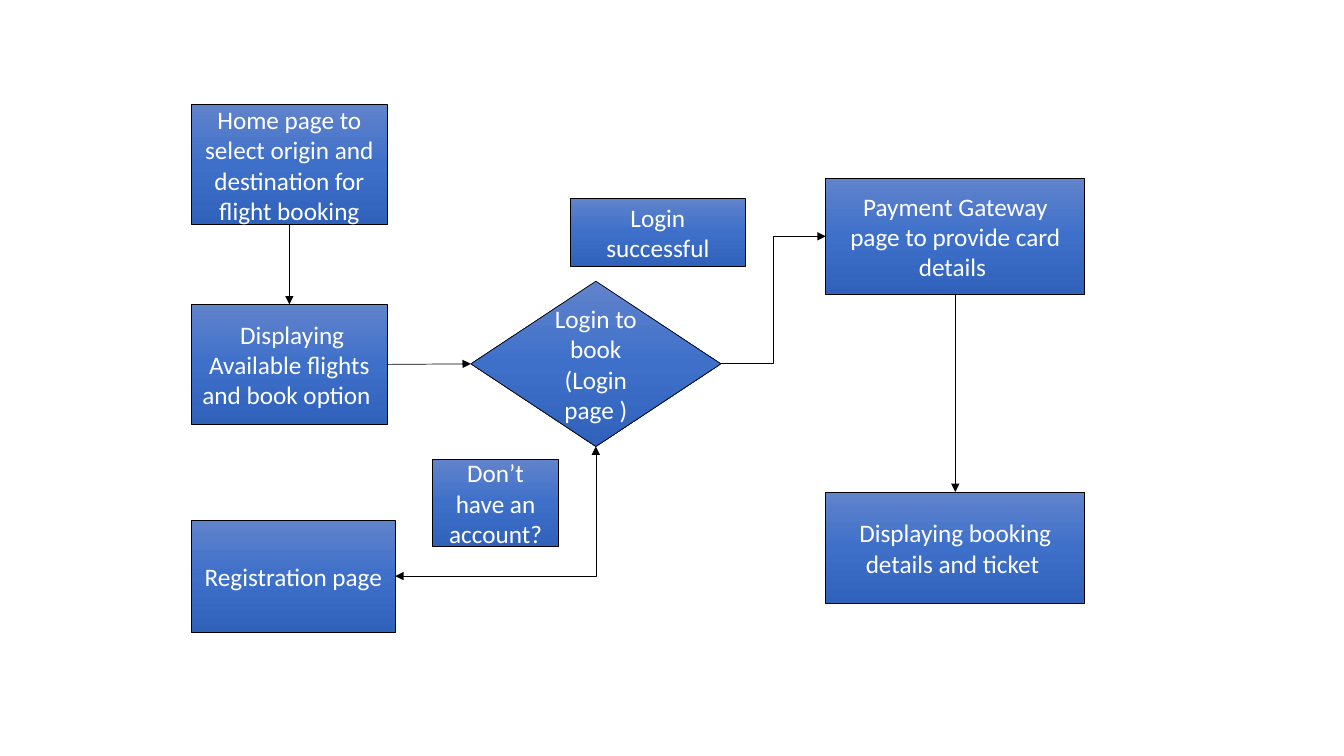
import copy
import dataclasses

import pptx
import pptx.dml.color
import pptx.enum.shapes
import pptx.enum.text
import pptx.oxml
import pptx.oxml.ns
import pptx.util

PX = 9144
TOP, LEFT, BOTTOM, RIGHT = range(4)
SHAPES = pptx.enum.shapes.MSO_SHAPE
LINKS = pptx.enum.shapes.MSO_CONNECTOR


@dataclasses.dataclass(frozen=True)
class Theme:
    font: str = "Calibri"
    size: int = 18
    text: str = "FFFFFF"
    line: str = "000000"
    line_width: float = 0.5
    gradient: tuple = ((0, "6183CB"), (0.5, "3E70CA"), (1, "3062BB"))


THEME = Theme()


def rgb(value):
    return pptx.dml.color.RGBColor.from_string(value)


def set_line(line):
    line.color.rgb = rgb(THEME.line)
    line.width = pptx.util.Pt(THEME.line_width)


def set_gradient(sp):
    sp.fill.gradient()
    sp.fill.gradient_angle = 270
    stops = sp.element.spPr.find(".//" + pptx.oxml.ns.qn("a:gsLst"))
    stops.append(copy.deepcopy(stops[0]))
    for stop, (position, color) in zip(sp.fill.gradient_stops, THEME.gradient):
        stop.position = position
        stop.color.rgb = rgb(color)


def add_node(s, box, *lines, kind=SHAPES.RECTANGLE):
    sp = s.shapes.add_shape(kind, *(v * PX for v in box))
    sp.shadow.inherit = False
    set_gradient(sp)
    set_line(sp.line)
    tf = sp.text_frame
    tf.word_wrap = True
    tf.vertical_anchor = pptx.enum.text.MSO_ANCHOR.MIDDLE
    for i, line in enumerate(lines):
        p = tf.add_paragraph() if i else tf.paragraphs[0]
        p.alignment = pptx.enum.text.PP_ALIGN.CENTER
        r = p.add_run()
        r.text = line
        r.font.name = THEME.font
        r.font.size = pptx.util.Pt(THEME.size)
        r.font.color.rgb = rgb(THEME.text)
    return sp


def add_link(s, start, start_side, end, end_side, kind=LINKS.STRAIGHT, ends=("tailEnd",)):
    link = s.shapes.add_connector(kind, 0, 0, 0, 0)
    link.begin_connect(start, start_side)
    link.end_connect(end, end_side)
    set_line(link.line)
    for name in ends:
        arrow = pptx.oxml.ns.qn("a:" + name)
        link.line._get_or_add_ln().append(
            pptx.oxml.parse_xml(
                f'<a:{name} {pptx.oxml.ns.nsdecls("a")} type="triangle"/>'
            )
        ) if link.element.find(".//" + arrow) is None else None
    link.element.spPr.append(
        pptx.oxml.parse_xml(f'<a:effectLst {pptx.oxml.ns.nsdecls("a")}/>')
    )
    return link


def turn_corner(link):
    width, height = link.width, link.height
    link.left += (width - height) // 2
    link.top += (height - width) // 2
    link.width, link.height = height, width
    xfrm = link.element.spPr.find(pptx.oxml.ns.qn("a:xfrm"))
    xfrm.attrib.pop("flipH", None)
    xfrm.set("rot", "5400000")
    link.element.spPr.find(pptx.oxml.ns.qn("a:prstGeom")).set("prst", "bentConnector2")


def main():
    prs = pptx.Presentation()
    prs.slide_width, prs.slide_height = 1333 * PX, 750 * PX
    s = prs.slides.add_slide(prs.slide_layouts[6])

    home = add_node(s, (190, 104, 194, 119),
                    "Home page to select origin and destination for flight booking")
    login = add_node(s, (467, 279, 248, 164), "Login to book", "(Login page )",
                     kind=SHAPES.DIAMOND)
    flights = add_node(s, (190, 302, 194, 119),
                       " Displaying Available flights and book option ")
    registration = add_node(s, (190, 516, 202, 111), "Registration page")
    payment = add_node(s, (819, 177, 257, 115),
                       "Payment Gateway page to provide card details ")
    ticket = add_node(s, (819, 488, 257, 111), "Displaying booking details and ticket ")
    add_node(s, (429, 456, 125, 86), "Don’t have an account?")
    add_node(s, (566, 197, 173, 67), "Login successful")

    add_link(s, home, BOTTOM, flights, TOP)
    add_link(s, flights, RIGHT, login, LEFT)
    add_link(s, login, RIGHT, payment, LEFT, LINKS.ELBOW)
    add_link(s, payment, BOTTOM, ticket, TOP)
    turn_corner(add_link(s, login, BOTTOM, registration, RIGHT, LINKS.ELBOW,
                         ("headEnd", "tailEnd")))

    prs.save("out.pptx")


if __name__ == "__main__":
    main()
